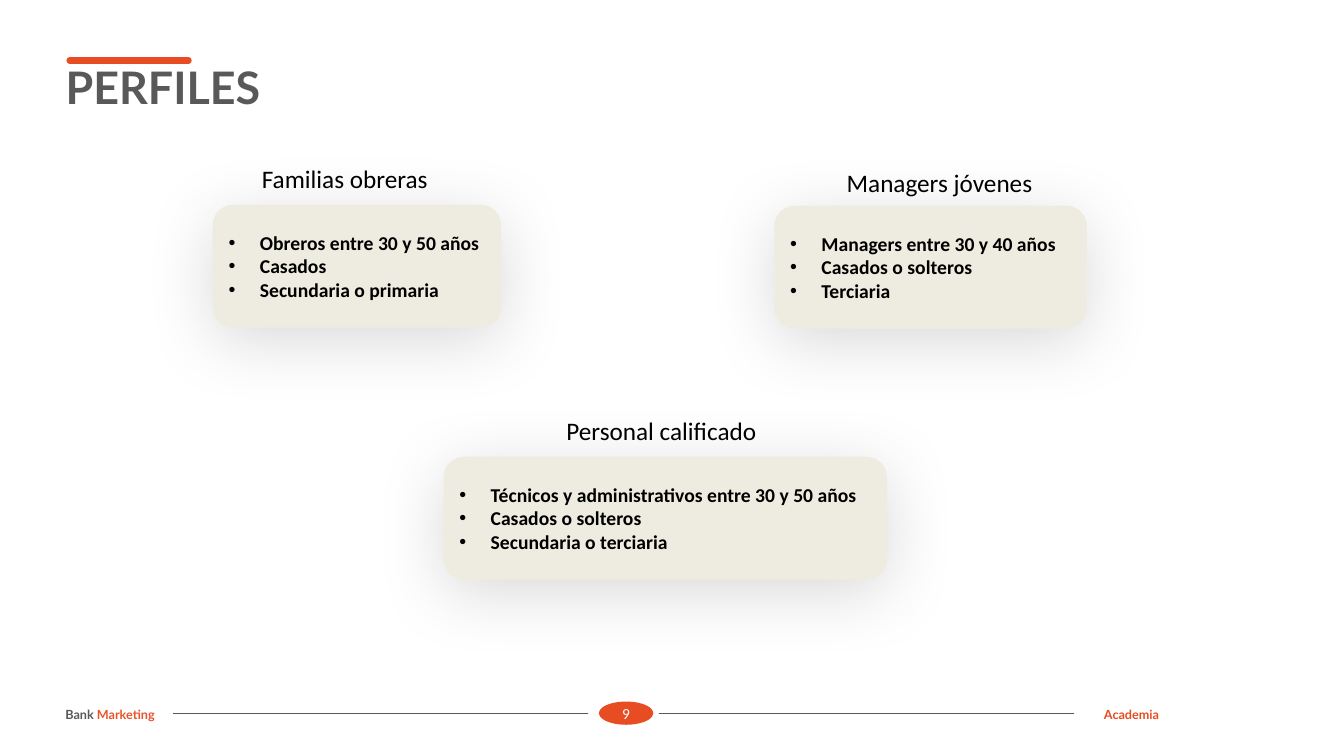
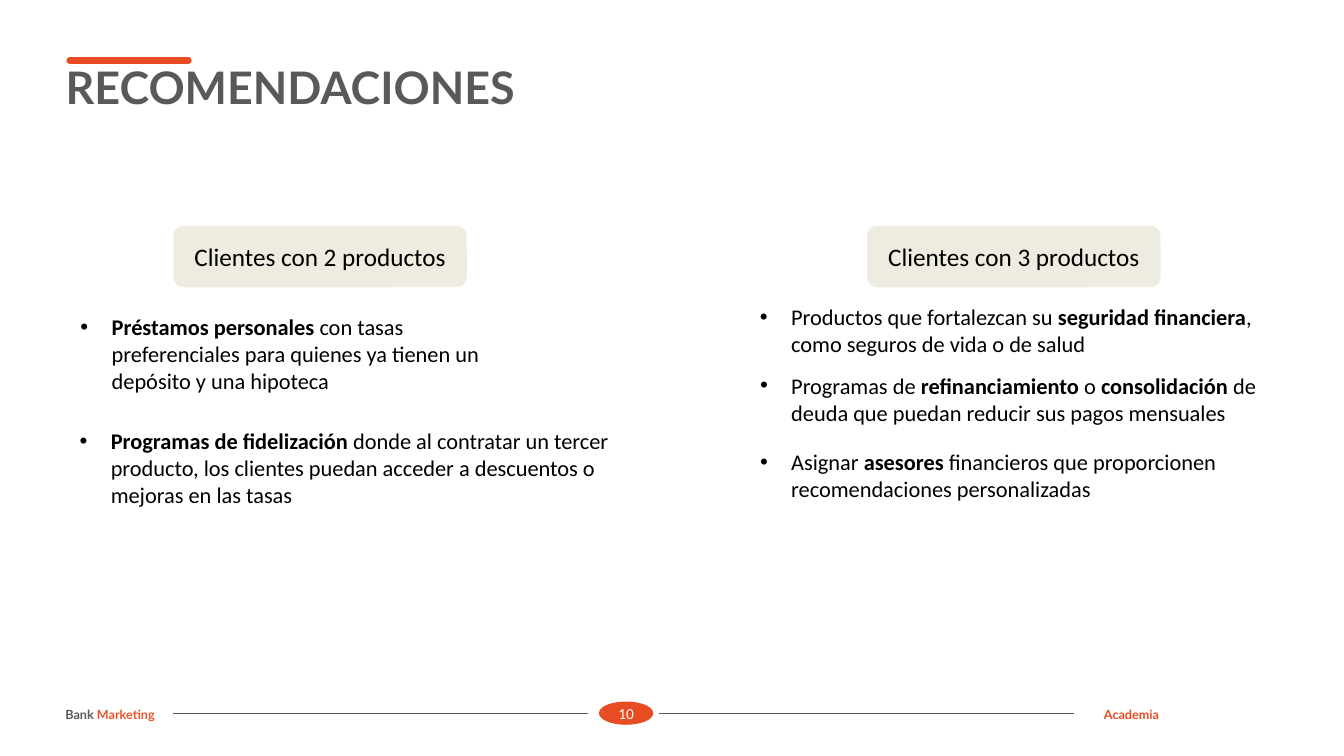
"""Build two slides on bank customer profiles and recommendations."""
from lxml import etree
from pptx import Presentation
from pptx.dml.color import RGBColor
from pptx.enum.shapes import MSO_CONNECTOR, MSO_SHAPE
from pptx.enum.text import MSO_ANCHOR, MSO_AUTO_SIZE, PP_ALIGN
from pptx.oxml.ns import qn
from pptx.util import Inches, Pt

STRAIGHT = MSO_CONNECTOR.STRAIGHT
ROUNDED = MSO_SHAPE.ROUNDED_RECTANGLE
OVAL = MSO_SHAPE.OVAL
TOP, MIDDLE = MSO_ANCHOR.TOP, MSO_ANCHOR.MIDDLE
LEFT, CENTER = PP_ALIGN.LEFT, PP_ALIGN.CENTER

WIDTH, HEIGHT = Inches(13.33), Inches(7.5)
COLORS = {
    "accent": "E84C22",
    "coral": "E9542C",
    "gray": "595959",
    "sand": "EEECE1",
    "black": "000000",
    "white": "FFFFFF",
}
BODY, DISPLAY = "Calibri", "Lato"
INDENT = Inches(0.31)
TITLE_ONLY = 5

FOOTER_TOP, FOOTER_HEIGHT = 92.8, 5.33
RULE_LEVEL = 94.4
HEADING_HEIGHT, CARD_HEIGHT = 5.33, 16.27
LABEL_TOP, LABEL_WIDTH, LABEL_HEIGHT = 29.87, 21.83, 8.13
LINE_HEIGHT, PADDING = 3.6, 1.33

PROFILES = [
    ("Familias obreras", (18.75, 20.93), (15.83, 27.07, 21.46),
     ["Obreros entre 30 y 50 años", "Casados", "Secundaria o primaria"]),
    ("Managers jóvenes", (62.26, 21.47), (57.61, 27.2, 23.26),
     ["Managers entre 30 y 40 años", "Casados o solteros", "Terciaria"]),
    ("Personal calificado", (41.41, 54.27), (33, 60.4, 33),
     ["Técnicos y administrativos entre 30 y 50 años", "Casados o solteros",
      "Secundaria o terciaria"]),
]

ADVICE = [
    ("Clientes con 2 productos", 12.9, 3, [
        ((5.25, 40.8, 35.33), [
            ("Préstamos personales", True),
            (" con tasas preferenciales para quienes ya tienen un depósito "
             "y una hipoteca", False)]),
        ((5.18, 55.87, 41.86), [
            ("Programas de fidelización ", True),
            ("donde al contratar un tercer producto, los clientes puedan "
             "acceder a descuentos o mejoras en las tasas", False)]),
    ]),
    ("Clientes con 3 productos", 64.52, 2, [
        ((55.81, 39.47, 40.74), [
            ("Productos que fortalezcan su ", False),
            ("seguridad financiera", True),
            (", como seguros de vida o de salud", False)]),
        ((55.81, 48.53, 41.86), [
            ("Programas de ", False),
            ("refinanciamiento", True),
            (" o ", False),
            ("consolidación", True),
            (" de deuda que puedan reducir sus pagos mensuales", False)]),
        ((55.81, 58.67, 41.86), [
            ("Asignar ", False),
            ("asesores", True),
            (" financieros que proporcionen recomendaciones personalizadas",
             False)]),
    ]),
]


def across(percent):
    """Return a horizontal length from a percentage of the slide width."""
    return round(WIDTH * percent / 100)


def down(percent):
    """Return a vertical length from a percentage of the slide height."""
    return round(HEIGHT * percent / 100)


def area(left, top, width, height):
    """Return a frame given in percentages as lengths."""
    return across(left), down(top), across(width), down(height)


def color(name):
    """Return a palette colour."""
    return RGBColor.from_string(COLORS[name])


def add_span(para, text, size, bold=False, tint="black", face=BODY):
    """Append one formatted run to a paragraph."""
    span = para.add_run()
    span.text = text
    span.font.size = Pt(size)
    span.font.bold = bold
    span.font.name = face
    span.font.color.rgb = color(tint)


def add_bullet(para):
    """Give a paragraph a hanging round bullet."""
    props = para._p.get_or_add_pPr()
    props.set("marL", str(INDENT))
    props.set("indent", str(-INDENT))
    etree.SubElement(props, qn("a:buFont"), typeface="Arial")
    etree.SubElement(props, qn("a:buChar"), char="•")


def add_text(page, frame):
    """Add a wrapping text box and return its first paragraph."""
    box = page.shapes.add_textbox(*area(*frame))
    box.text_frame.word_wrap = True
    return box.text_frame.paragraphs[0]


def add_panel(page, kind, frame, fill):
    """Add a flat filled shape with middle-anchored text."""
    panel = page.shapes.add_shape(kind, *area(*frame))
    panel.shadow.inherit = False
    panel.fill.solid()
    panel.fill.fore_color.rgb = color(fill)
    panel.line.fill.background()
    panel.text_frame.word_wrap = True
    panel.text_frame.vertical_anchor = MIDDLE
    return panel


def add_soft_shadow(panel):
    """Put a wide, faint shadow below a panel."""
    effects = panel._element.spPr.find(qn("a:effectLst"))
    shadow = etree.SubElement(
        effects, qn("a:outerShdw"), blurRad=str(Pt(50)), dist=str(Pt(9)),
        dir="5400000", algn="t", rotWithShape="0")
    tint = etree.SubElement(shadow, qn("a:srgbClr"), val=COLORS["black"])
    etree.SubElement(tint, qn("a:alpha"), val="15000")


def add_rule(page, start, end, level, weight, tint):
    """Draw a horizontal line with round ends."""
    rule = page.shapes.add_connector(
        STRAIGHT, across(start), down(level), across(end), down(level))
    rule.line.width = Pt(weight)
    rule.line.color.rgb = color(tint)
    rule.line._get_or_add_ln().set("cap", "rnd")
    etree.SubElement(rule._element.spPr, qn("a:effectLst"))


def add_title(page, text):
    """Place and format the title placeholder."""
    title = page.shapes.title
    title.left, title.top, title.width, title.height = area(
        4.13, 7.2, 91.75, 8.53)
    frame = title.text_frame
    frame.auto_size = MSO_AUTO_SIZE.NONE
    frame.vertical_anchor = TOP
    para = frame.paragraphs[0]
    para.alignment = LEFT
    add_span(para, text, 32, True, "gray", DISPLAY)


def add_footer(page, number):
    """Add the footer names, rules and page number."""
    for start, end in ((12.9, 43.74), (49.06, 79.89)):
        add_rule(page, start, end, RULE_LEVEL, 0.5, "gray")
    badge = add_panel(page, OVAL, (44.56, FOOTER_TOP, 4.05, 3.07), "accent")
    frame = badge.text_frame
    frame.margin_left = frame.margin_right = 0
    frame.margin_top = frame.margin_bottom = 0
    frame.paragraphs[0].alignment = CENTER
    add_span(frame.paragraphs[0], str(number), 11, tint="white")
    names = (
        (4.13, [("Bank ", "gray"), ("Marketing", "coral")]),
        (81.4, [("Academia", "accent")]),
    )
    for left, spans in names:
        para = add_text(page, (left, FOOTER_TOP, 10, FOOTER_HEIGHT))
        for text, tint in spans:
            add_span(para, text, 9, True, tint, DISPLAY)


def add_page(deck, title, number):
    """Add a slide with the shared title and footer."""
    page = deck.slides.add_slide(deck.slide_layouts[TITLE_ONLY])
    add_rule(page, 5.18, 14.03, 8, 4.5, "accent")
    add_title(page, title)
    add_footer(page, number)
    return page


def add_profile(page, heading, corner, place, traits):
    """Add a shadowed card of bold bullets with its heading."""
    card = add_panel(page, ROUNDED, (*place, CARD_HEIGHT), "sand")
    add_soft_shadow(card)
    frame = card.text_frame
    for index, trait in enumerate(traits):
        para = frame.add_paragraph() if index else frame.paragraphs[0]
        para.alignment = LEFT
        add_bullet(para)
        add_span(para, trait, 14, True)
    add_span(add_text(page, (*corner, 18, HEADING_HEIGHT)), heading, 18)


def add_advice(page, heading, left, lines, items):
    """Add a labelled group of bulleted recommendations."""
    label = add_panel(
        page, ROUNDED, (left, LABEL_TOP, LABEL_WIDTH, LABEL_HEIGHT), "sand")
    para = label.text_frame.paragraphs[0]
    para.alignment = CENTER
    add_span(para, heading, 18)
    for place, spans in items:
        para = add_text(page, (*place, lines * LINE_HEIGHT + PADDING))
        add_bullet(para)
        for text, bold in spans:
            add_span(para, text, 16, bold)


def main():
    """Build and save the deck."""
    deck = Presentation()
    deck.slide_width, deck.slide_height = WIDTH, HEIGHT
    page = add_page(deck, "PERFILES", 9)
    for profile in PROFILES:
        add_profile(page, *profile)
    page = add_page(deck, "RECOMENDACIONES", 10)
    for group in ADVICE:
        add_advice(page, *group)
    deck.save("out.pptx")


if __name__ == "__main__":
    main()
